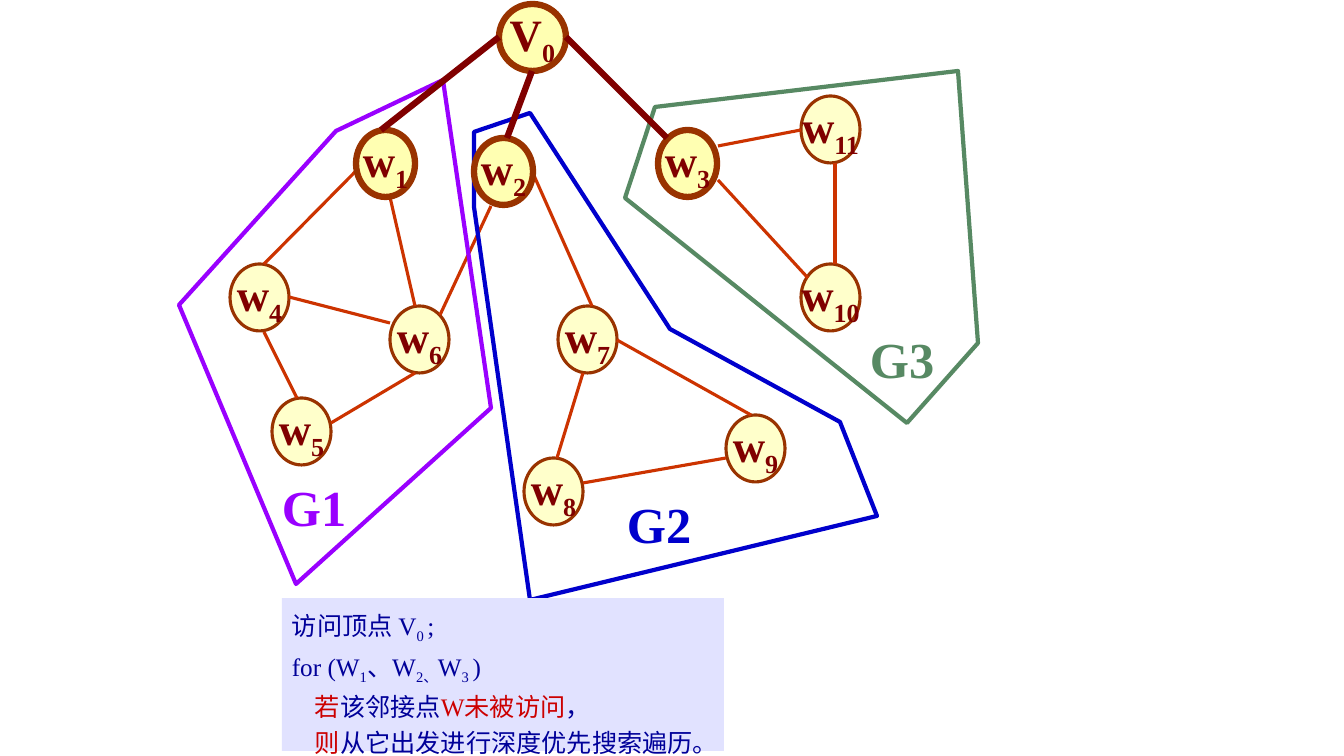
from dataclasses import dataclass

from lxml import etree
from pptx import Presentation
from pptx.dml.color import RGBColor
from pptx.enum.shapes import MSO_CONNECTOR, MSO_SHAPE
from pptx.enum.text import MSO_ANCHOR, PP_ALIGN
from pptx.oxml.ns import qn
from pptx.util import Pt

LINE = MSO_CONNECTOR.STRAIGHT
OVAL, RECT = MSO_SHAPE.OVAL, MSO_SHAPE.RECTANGLE
TOP, MIDDLE = MSO_ANCHOR.TOP, MSO_ANCHOR.MIDDLE
LEFT, CENTER = PP_ALIGN.LEFT, PP_ALIGN.CENTER
PX = 914400 / 100.8


@dataclass(frozen=True)
class Theme:
    font: str = "Times New Roman"
    cream: str = "FFFF99"
    brown: str = "993300"
    maroon: str = "800000"
    orange: str = "CC3300"
    purple: str = "9900FF"
    blue: str = "0000CC"
    green: str = "578963"
    panel: str = "E1E2FF"
    navy: str = "000099"
    red: str = "CC0000"
    node_size: int = 32
    name_size: int = 36
    code_size: int = 18
    thin: float = 2.25
    mid: float = 3
    thick: float = 4.5


THEME = Theme()
NODE_W, NODE_H = 59, 67
SUB, RED = "sub", "red"

# Vertex number: left, top
NODES = {
    4: (230, 264), 5: (272, 398), 6: (390, 306), 8: (524, 458),
    7: (558, 306), 10: (801, 264), 9: (726, 415), 11: (801, 96),
}
ROOT = (499, 4)
NEAR = {1: (356, 130), 3: (658, 130), 2: (474, 138)}

# Start x, y and end x, y
EDGES = [
    (356, 171, 264, 264), (264, 332, 297, 398), (289, 297, 390, 323),
    (390, 197, 415, 306), (415, 373, 331, 423), (491, 206, 440, 315),
    (532, 171, 592, 306), (583, 373, 557, 458), (617, 340, 751, 415),
    (718, 180, 808, 278), (583, 483, 726, 458), (718, 146, 801, 130),
    (835, 163, 835, 264),
]
ROOT_EDGES = [
    (499, 37, 381, 130), (532, 71, 507, 138), (566, 37, 667, 138),
]

# Name, colour, label corner, outline
REGIONS = [
    ("G1", THEME.purple, (272, 471),
     [(443, 80), (491, 408), (296, 584), (179, 305), (336, 131)]),
    ("G2", THEME.blue, (617, 488),
     [(530, 113), (474, 132), (474, 207), (530, 600), (877, 516),
      (840, 422), (670, 329)]),
    ("G3", THEME.green, (860, 323),
     [(655, 107), (625, 198), (907, 423), (978, 343), (958, 71)]),
]

# Indent, then runs of text and look
STEPS = [
    (0, [("访问顶点 V", ""), ("0 ", SUB), (";", "")]),
    (0, [("for (W", ""), ("1", SUB), ("、W", ""), ("2、", SUB),
         ("W", ""), ("3 ", SUB), (")", "")]),
    (23, [("若", RED), ("该邻接点", ""), ("W未被访问", RED), ("，", "")]),
    (23, [("则", RED), ("从它出发进行深度优先搜索遍历。", "")]),
]


def px(*sizes):
    return [round(size * PX) for size in sizes]


def rgb(code):
    return RGBColor.from_string(code)


def write(shape, lines, size, color, bold=False, align=LEFT, anchor=TOP,
          wrap=True, pitch=None):
    """Fill a shape with lines, each an indent and a list of runs."""
    frame = shape.text_frame
    frame.word_wrap = wrap
    frame.vertical_anchor = anchor
    for pos, (indent, runs) in enumerate(lines):
        para = frame.add_paragraph() if pos else frame.paragraphs[0]
        para.alignment = align
        para.line_spacing = pitch
        if indent:
            props = para._p.get_or_add_pPr()
            props.set("marL", str(px(indent)[0]))
            props.set("indent", "0")
        for text, look in runs:
            run = para.add_run()
            run.text = text
            font = run.font
            font.name, font.size, font.bold = THEME.font, Pt(size), bold
            font.color.rgb = rgb(THEME.red if look == RED else color)
            if look == SUB:
                run._r.get_or_add_rPr().set("baseline", "-25000")


def node(slide, spot, name, index, width=NODE_W, line=THEME.thin, alpha=50):
    oval = slide.shapes.add_shape(OVAL, *px(*spot, width, NODE_H))
    oval.shadow.inherit = False
    oval.fill.solid()
    oval.fill.fore_color.rgb = rgb(THEME.cream)
    tint = oval._element.spPr.find(".//" + qn("a:srgbClr"))
    etree.SubElement(tint, qn("a:alpha")).set("val", str(alpha * 1000))
    oval.line.color.rgb = rgb(THEME.brown)
    oval.line.width = Pt(line)
    write(oval, [(0, [(name, ""), (str(index), SUB)])], THEME.node_size,
          THEME.maroon, bold=True, align=CENTER, anchor=MIDDLE, wrap=False)


def edge(slide, ends, color, width):
    line = slide.shapes.add_connector(LINE, *px(*ends))
    line.line.color.rgb = rgb(color)
    line.line.width = Pt(width)
    etree.SubElement(line._element.spPr, qn("a:effectLst"))


def region(slide, name, color, spot, points):
    """Outline one connected part and add its name."""
    pen = slide.shapes.build_freeform(*points[0], scale=PX)
    pen.add_line_segments(points[1:], close=True)
    shape = pen.convert_to_shape()
    shape.shadow.inherit = False
    shape.fill.background()
    shape.line.color.rgb = rgb(color)
    shape.line.width = Pt(THEME.mid)
    label = slide.shapes.add_textbox(*px(*spot, 101, 71))
    write(label, [(0, [(name, "")])], THEME.name_size, color, bold=True)


def panel(slide):
    box = slide.shapes.add_shape(RECT, *px(282, 598, 442, 153))
    box.shadow.inherit = False
    box.fill.solid()
    box.fill.fore_color.rgb = rgb(THEME.panel)
    box.line.fill.background()
    write(box, STEPS, THEME.code_size, THEME.navy, pitch=1.2)


def main():
    deck = Presentation()
    deck.slide_width, deck.slide_height = px(1344, 756)
    slide = deck.slides.add_slide(deck.slide_layouts[6])
    for index, spot in NODES.items():
        node(slide, spot, "w", index)
    for ends in EDGES:
        edge(slide, ends, THEME.orange, THEME.thin)
    for part in REGIONS:
        region(slide, *part)
    node(slide, ROOT, "V", 0, width=NODE_H, line=THEME.thick, alpha=75)
    for index, spot in NEAR.items():
        node(slide, spot, "w", index, line=THEME.thick, alpha=75)
    for ends in ROOT_EDGES:
        edge(slide, ends, THEME.maroon, THEME.thick)
    panel(slide)
    deck.save("out.pptx")


if __name__ == "__main__":
    main()
